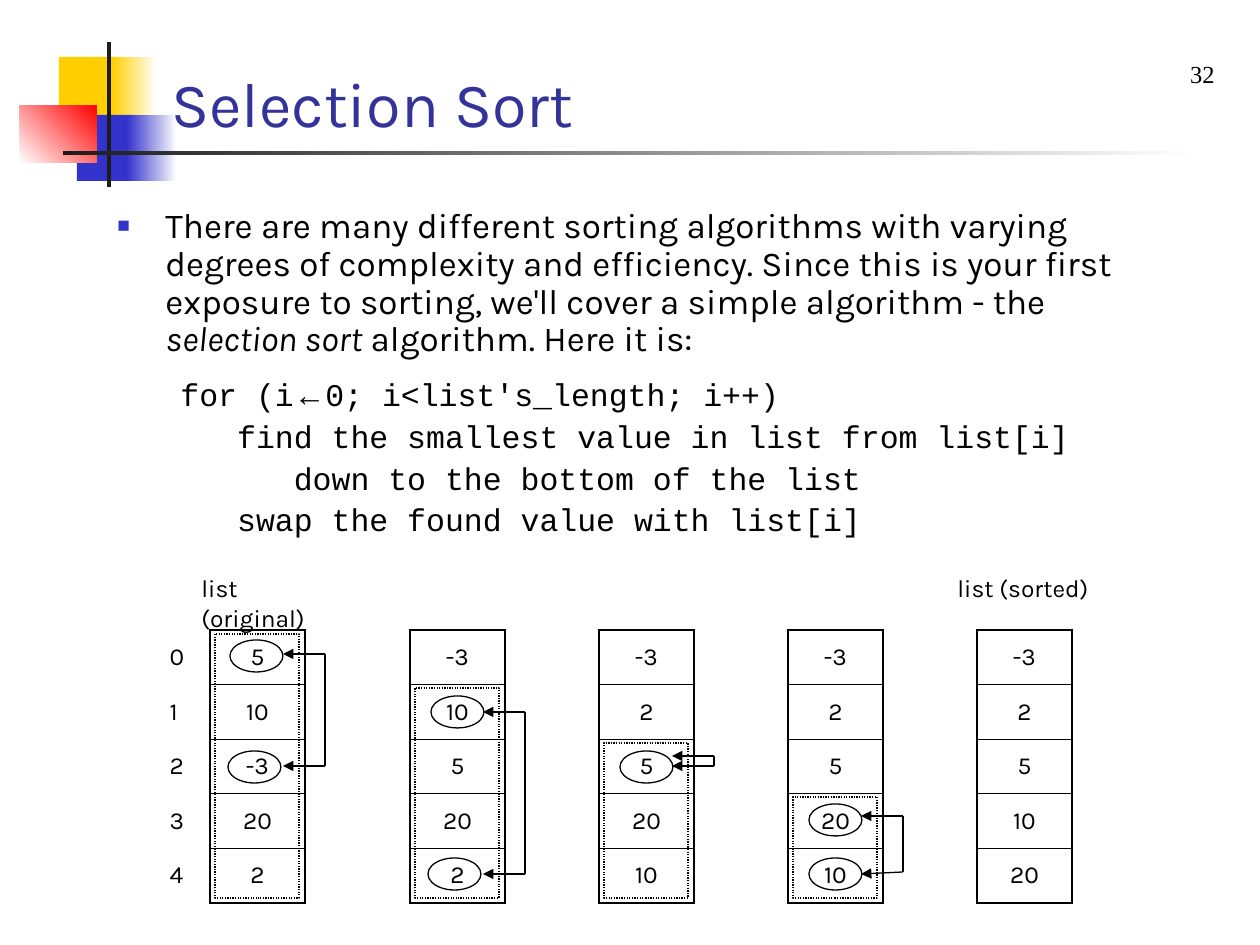
from pptx import Presentation
from pptx.dml.color import RGBColor
from pptx.enum.dml import MSO_LINE
from pptx.enum.shapes import MSO_CONNECTOR, MSO_SHAPE
from pptx.enum.text import MSO_ANCHOR, MSO_AUTO_SIZE, PP_ALIGN
from pptx.oxml import parse_xml
from pptx.oxml.ns import nsdecls
from pptx.util import Pt

RECT, OVAL = MSO_SHAPE.RECTANGLE, MSO_SHAPE.OVAL
LEFT, MID, RIGHT = PP_ALIGN.LEFT, PP_ALIGN.CENTER, PP_ALIGN.RIGHT
TOP, CENTER, BOTTOM = MSO_ANCHOR.TOP, MSO_ANCHOR.MIDDLE, MSO_ANCHOR.BOTTOM
DOT, FIT = MSO_LINE.ROUND_DOT, MSO_AUTO_SIZE.SHAPE_TO_FIT_TEXT
STRAIGHT = MSO_CONNECTOR.STRAIGHT

PX = 914400 // 126
SANS, MONO = "Karla", "Courier New"
COLORS = {"gold": "FFCF01", "blue": "3333CC", "red": "FF0000", "dark": "1C1C1C",
          "white": "FFFFFF", "black": "000000", "title": "333399"}

# Content: bars as box, first colour, second colour, gradient angle
BARS = [
    ((59, 57, 60, 66), "gold", None, 0),
    ((112, 57, 45, 66), "gold", "white", 0),
    ((77, 115, 58, 66), "blue", None, 0),
    ((127, 115, 50, 66), "blue", "white", 0),
    ((20, 105, 77, 58), "white", "red", 45),
    ((107, 42, 4, 145), "dark", None, 0),
    ((63, 151, 1134, 4), "dark", "white", 0),
]
INTRO = [
    ("There are many different sorting algorithms with varying degrees of "
     "complexity and efficiency. Since this is your first exposure to sorting, "
     "we'll cover a simple algorithm - the ", False),
    ("selection sort", True),
    (" algorithm. Here it is:", False),
]
CODE = [
    [("for (i", MONO), ("←", "Arial"), ("0; i<list's_length; i++)", MONO)],
    [("   find the smallest value in list from list[i]", MONO)],
    [("      down to the bottom of the list", MONO)],
    [("   swap the found value with list[i]", MONO)],
]
# Each pass: left, values, ovals (offset, top), swap (upper y, lower bend y, lower tip y)
PASSES = [
    (210, [5, 10, -3, 20, 2], [(20, 640), (18, 751)], (654, 766, 766)),
    (410, [-3, 10, 5, 20, 2], [(21, 696), (18, 858)], (712, 874, 874)),
    (599, [-3, 2, 5, 20, 10], [(21, 751)], (756, 766, 766)),
    (788, [-3, 2, 5, 20, 10], [(21, 804), (21, 858)], (816, 872, 874)),
    (977, [-3, 2, 5, 10, 20], [], None),
]
LABELS = [("list (original)", 189, 168), ("list (sorted)", 945, 158)]
LIST_TOP, LIST_W, LIST_H = 630, 95, 273
FRAME_END = 898

prs = Presentation()
prs.slide_width, prs.slide_height = 1260 * PX, 945 * PX
slide = prs.slides.add_slide(prs.slide_layouts[6])
shapes = slide.shapes


def rgb(name):
    return RGBColor.from_string(COLORS[name])


def emu(box):
    return [round(v * PX) for v in box]


def style(font, size, name=SANS, color="black"):
    font.size, font.name = Pt(size), name
    font.color.rgb = rgb(color)


def add_text(box, text="", size=14, name=SANS, color="black", align=LEFT, anchor=TOP):
    frame = shapes.add_textbox(*emu(box)).text_frame
    frame.word_wrap, frame.vertical_anchor = True, anchor
    para = frame.paragraphs[0]
    para.alignment = align
    if text:
        para.text = text
        style(para.runs[0].font, size, name, color)
    return frame


def add_bar(box, color, end, angle):
    bar = shapes.add_shape(RECT, *emu(box))
    bar.shadow.inherit = False
    bar.line.fill.background()
    if end is None:
        bar.fill.solid()
        bar.fill.fore_color.rgb = rgb(color)
        return
    bar.fill.gradient()
    bar.fill.gradient_angle = angle
    for stop, name in zip(bar.fill.gradient_stops, (color, end)):
        stop.color.rgb = rgb(name)


def add_ring(kind, box, dash=None):
    ring = shapes.add_shape(kind, *emu(box))
    ring.shadow.inherit = False
    ring.fill.background()
    ring.line.color.rgb, ring.line.width = rgb("black"), Pt(0.75)
    if dash:
        ring.line.dash_style = dash


def add_line(x1, y1, x2, y2, arrow=False):
    line = shapes.add_connector(STRAIGHT, *emu((x1, y1, x2, y2)))
    line.line.color.rgb, line.line.width = rgb("black"), Pt(0.75)
    if arrow:
        line.line._get_or_add_ln().append(
            parse_xml(f'<a:tailEnd {nsdecls("a")} type="triangle"/>'))
    line._element.spPr.append(parse_xml(f'<a:effectLst {nsdecls("a")}/>'))


def set_border(cell, widths):
    for i, (side, width) in enumerate(zip("LRTB", widths)):
        fill = (f'<a:solidFill><a:srgbClr val="{COLORS["black"]}"/></a:solidFill>'
                if width else "<a:noFill/>")
        cell._tc.get_or_add_tcPr().insert(i, parse_xml(
            f'<a:ln{side} {nsdecls("a")} w="{Pt(width)}">{fill}</a:ln{side}>'))


def add_list(x, width, values, align, border):
    box = emu((x, LIST_TOP, width, LIST_H))
    table = shapes.add_table(len(values), 1, *box).table
    table.first_row = table.horz_banding = False
    last = len(values) - 1
    for i, value in enumerate(values):
        table.rows[i].height = box[3] // len(values)
        cell = table.cell(i, 0)
        cell.fill.background()
        cell.vertical_anchor = CENTER
        cell.text = str(value)
        para = cell.text_frame.paragraphs[0]
        para.alignment = align
        style(para.runs[0].font, 14)
        upper, lower = (1.08 if i == edge else 0.45 for edge in (0, last))
        set_border(cell, (1.08, 1.08, upper, lower) if border else (0, 0, 0, 0))


# Corner motif, title and slide number
for bar in BARS:
    add_bar(*bar)
add_text((159, 43, 965, 103), "Selection Sort", 36, color="title", anchor=BOTTOM)
add_text((1176, 53, 53, 42), "32", name="Times New Roman", align=MID)

# Introduction and pseudocode
body = add_text((105, 202, 1092, 354))
intro = body.paragraphs[0]
props = intro._p.get_or_add_pPr()
props.set("marL", str(48 * PX))
props.set("indent", str(-48 * PX))
for tag in (f'buClr {nsdecls("a")}><a:srgbClr val="{COLORS["blue"]}"/></a:buClr',
            f'buSzPct {nsdecls("a")} val="60000"/',
            f'buFont {nsdecls("a")} typeface="Arial"/',
            f'buChar {nsdecls("a")} char="■"/'):
    props.append(parse_xml(f"<a:{tag}>"))
intro.line_spacing = 0.9
for text, slant in INTRO:
    run = intro.add_run()
    run.text = text
    style(run.font, 20)
    run.font.italic = slant
for i, parts in enumerate(CODE):
    para = body.add_paragraph()
    para.level, para.line_spacing = 1, 0.9
    para.space_before = Pt(4.5 if i else 11.2)
    props = para._p.get_or_add_pPr()
    props.set("marL", str(102 * PX))
    props.set("indent", str(-39 * PX))
    for text, name in parts:
        run = para.add_run()
        run.text = text
        style(run.font, 18, name)

# Lists after each pass, with the unsorted part framed and the swap marked
for i, (x, values, ovals, swap) in enumerate(PASSES):
    add_list(x, LIST_W, values, MID, True)
    for dx, y in ovals:
        add_ring(OVAL, (x + dx, y, 53, 32))
    if swap:
        y = 634 + LIST_H * i // len(values)
        add_ring(RECT, (x + 5, y, 84, FRAME_END - y), DOT)
        high, low, tip = swap
        bend, end = x + 115, x + 73
        add_line(bend, high, end, high, True)
        add_line(bend, low, end, tip, True)
        add_line(bend, low, bend, high)

# Row numbers and list labels
add_list(157, 32, range(5), RIGHT, False)
for text, x, width in LABELS:
    add_text((x, 567, width, 43), text).auto_size = FIT

prs.save("out.pptx")
